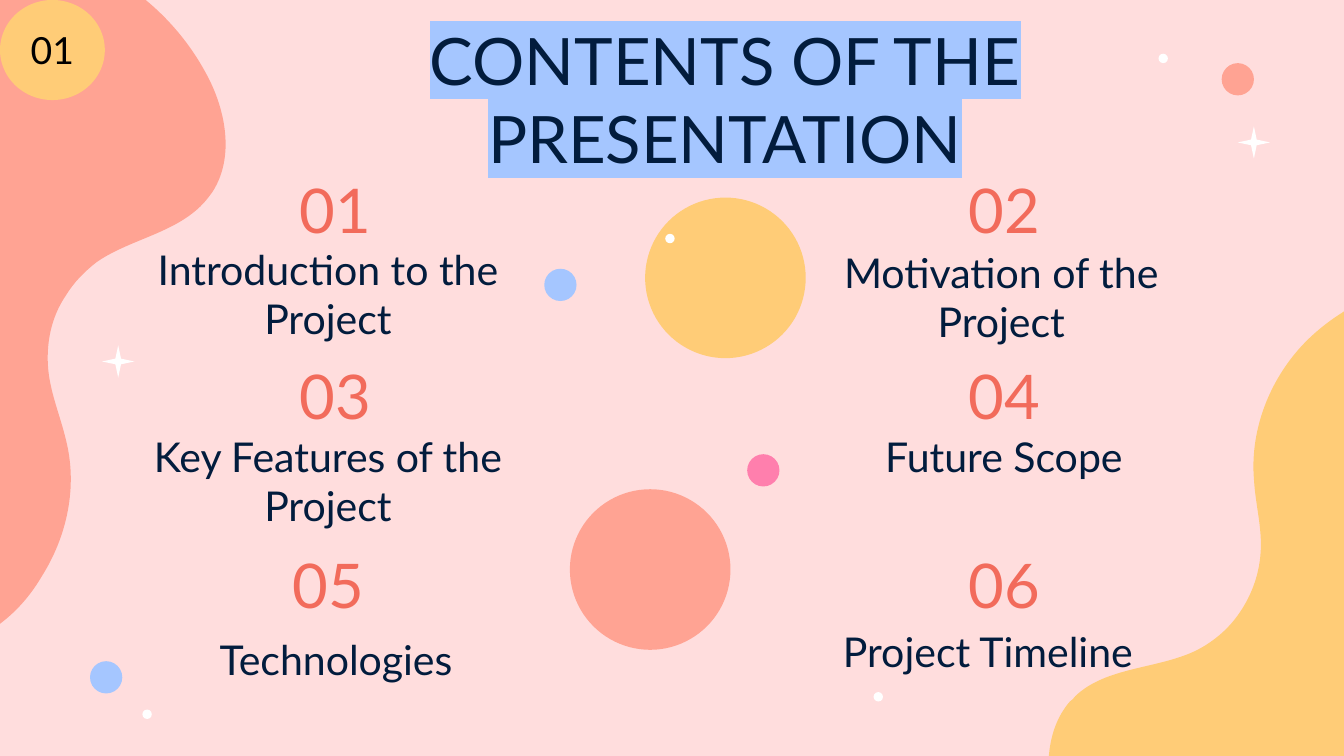
"""Build a contents slide with six numbered topics, bubbles, stars and two blobs."""
import math
from typing import NamedTuple

import lxml.etree
import pptx
import pptx.dml.color
import pptx.enum.shapes
import pptx.enum.text
import pptx.oxml
import pptx.oxml.ns
import pptx.util

RGB = pptx.dml.color.RGBColor
PINK = RGB(0xFF, 0xDD, 0xDD)
SALMON = RGB(0xFF, 0xA3, 0x93)
GOLD = RGB(0xFF, 0xCC, 0x77)
WHITE = RGB(0xFF, 0xFF, 0xFF)
BLACK = RGB(0x00, 0x00, 0x00)
NAVY = RGB(0x02, 0x1C, 0x3D)
CORAL = RGB(0xF2, 0x6B, 0x5B)
BLUE = RGB(0xA5, 0xC6, 0xFF)
ROSE = RGB(0xFF, 0x7F, 0xAD)

COLUMNS, ROWS = 100, 56.25
CELL = pptx.util.Inches(0.1)
SHAPES = pptx.enum.shapes.MSO_SHAPE
INSET = pptx.util.Inches(0.1)
FRAME_FORMAT = {
    "word_wrap": True,
    "auto_size": pptx.enum.text.MSO_AUTO_SIZE.NONE,
    "vertical_anchor": pptx.enum.text.MSO_ANCHOR.MIDDLE,
    "margin_left": INSET,
    "margin_right": INSET,
    "margin_top": INSET,
    "margin_bottom": INSET,
}


class Area(NamedTuple):
    """A rectangle in grid columns and rows."""
    column: float
    row: float
    width: float
    height: float


class Style(NamedTuple):
    """Size and colour of a line of text."""
    size: float
    color: RGB


class Topic(NamedTuple):
    """A numbered topic with the areas of its number and its name."""
    number: str
    number_area: Area
    name: str
    name_area: Area


class Ornament(NamedTuple):
    """A small bubble or star."""
    column: float
    row: float
    size: float
    color: RGB
    kind: SHAPES = SHAPES.OVAL


class Blob(NamedTuple):
    """A rotated outline of cubic curves, in grid points."""
    area: Area
    rotation: float
    color: RGB
    start: tuple
    curves: list


TITLE = Style(35, NAVY)
NUMBER = Style(33, CORAL)
NAME = Style(22, NAVY)
BADGE = Style(20, BLACK)
DOT, BUBBLE, DISC = 0.7, 2.4, 11.95

BLOBS = [
    Blob(Area(-21.3, 7.3, 46.1, 26.3), 302.1, SALMON, (-3.7, 4.4), [
        (-12.3, 18, -10.3, 35.1, -0.1, 46.5), (0.1, 46.4, 0.2, 46.2, 0.4, 46.1),
        (1.5, 45.2, 2.4, 44.1, 3.1, 42.9), (5, 39.9, 5.8, 36.2, 4.9, 32.7),
        (4.5, 31, 3.8, 29.4, 3.6, 27.6), (3.4, 25.6, 3.8, 23.6, 4.9, 22),
        (5.5, 21, 6.3, 20.2, 7.2, 19.5), (9.8, 17.7, 13.5, 17.3, 15.5, 14.7),
        (15.6, 14.6, 15.7, 14.4, 15.8, 14.3), (17.5, 11.7, 16.8, 8.1, 15.3, 5.4),
        (12.8, 0.8, 8.3, -2.7, 3.2, -3.6), (1.8, -2.4, 0.5, -1.1, -0.7, 0.3),
        (-1.8, 1.5, -2.8, 2.9, -3.7, 4.4)]),
    Blob(Area(71.5, 35.3, 46.1, 26.3), 131.1, GOLD, (97.4, 65), [
        (107.9, 53, 108.7, 35.7, 100.4, 22.9), (100.2, 23, 100, 23.2, 99.8, 23.3),
        (98.7, 24, 97.6, 24.9, 96.7, 25.9), (94.3, 28.6, 93, 32.2, 93.3, 35.7),
        (93.4, 37.5, 93.9, 39.2, 93.8, 41), (93.7, 43, 92.9, 44.9, 91.6, 46.4),
        (90.9, 47.2, 90, 47.9, 89, 48.4), (86.1, 49.8, 82.3, 49.6, 80, 51.8),
        (79.9, 52, 79.7, 52.1, 79.6, 52.2), (77.6, 54.5, 77.7, 58.2, 78.7, 61.1),
        (80.5, 66, 84.4, 70.2, 89.3, 71.9), (90.8, 70.9, 92.3, 69.9, 93.7, 68.7),
        (95, 67.6, 96.2, 66.4, 97.4, 65)]),
]
ORNAMENTS = [
    Ornament(10.6, 52.8, DOT, WHITE),
    Ornament(92.1, 9.4, BUBBLE, WHITE, SHAPES.STAR_4_POINT),
    Ornament(7.6, 25.7, BUBBLE, WHITE, SHAPES.STAR_4_POINT),
    Ornament(86.2, 4, DOT, WHITE),
    Ornament(65, 51.5, DOT, WHITE),
    Ornament(6.7, 49.2, BUBBLE, BLUE),
    Ornament(90.9, 4.7, BUBBLE, SALMON),
    Ornament(48, 14.7, DISC, GOLD),
    Ornament(42.4, 36.4, DISC, SALMON),
    Ornament(40.5, 20, BUBBLE, BLUE),
    Ornament(55.6, 33.8, BUBBLE, ROSE),
    Ornament(49.5, 17.4, DOT, WHITE),
]
TOPICS = [
    Topic("01", Area(18, 13.1, 13.9, 4.9), "Introduction to the Project", Area(10, 18.1, 28.8, 7.5)),
    Topic("02", Area(67.8, 13.1, 13.9, 4.9), "Motivation of the Project", Area(59.5, 18.6, 30, 6.9)),
    Topic("03", Area(18, 26.7, 13.9, 5.3), "Key Features of the Project", Area(10, 32, 28.8, 7.5)),
    Topic("04", Area(67.8, 26.7, 13.9, 5.3), "Future Scope", Area(61.1, 31.5, 27.2, 4.9)),
    Topic("05", Area(17.5, 41, 13.9, 4.9), "Technologies", Area(11.4, 46.6, 27.2, 4.9)),
    Topic("06", Area(67.8, 41, 13.9, 4.9), "Project Timeline", Area(59.9, 46, 27.2, 4.9)),
]


def place(area: Area) -> list[int]:
    """Return left, top, width and height of an area as slide lengths."""
    return [round(value * CELL) for value in area]


def paint(shape, color: RGB) -> None:
    """Give a shape a plain fill without line or shadow."""
    shape.shadow.inherit = False
    shape.fill.solid()
    shape.fill.fore_color.rgb = color
    shape.line.fill.background()


def write(shape, text: str, style: Style):
    """Write one centred paragraph and return its span."""
    frame = shape.text_frame
    for name, value in FRAME_FORMAT.items():
        setattr(frame, name, value)
    para = frame.paragraphs[0]
    para.alignment = pptx.enum.text.PP_ALIGN.CENTER
    span = para.add_run()
    span.text = text
    for name, value in {"size": pptx.util.Pt(style.size), "name": "Lato"}.items():
        setattr(span.font, name, value)
    span.font.color.rgb = style.color
    return span


def highlight(span, color: RGB) -> None:
    """Put a colour behind a span."""
    mark = pptx.oxml.parse_xml(
        f'<a:highlight {pptx.oxml.ns.nsdecls("a")}><a:srgbClr val="{color}"/></a:highlight>')
    span.font.fill._xPr.find(pptx.oxml.ns.qn("a:solidFill")).addnext(mark)


def bend(shape, area: Area) -> None:
    """Turn each three straight segments into a cubic curve and fit the frame to the area."""
    name = pptx.oxml.ns.qn
    left, top, width, height = place(area)
    outline = next(shape._element.iter(name("a:path")))
    for point in outline.iter(name("a:pt")):
        point.set("x", str(int(point.get("x")) + shape.left - left))
        point.set("y", str(int(point.get("y")) + shape.top - top))
    lines = outline.findall(name("a:lnTo"))
    for first in range(0, len(lines), 3):
        curve = lxml.etree.Element(name("a:cubicBezTo"))
        lines[first].addprevious(curve)
        for line in lines[first:first + 3]:
            curve.append(line[0])
            outline.remove(line)
    outline.set("w", str(width))
    outline.set("h", str(height))
    shape.left, shape.top, shape.width, shape.height = left, top, width, height


def draw_blob(page, blob: Blob) -> None:
    """Draw a blob as an upright outline turned about its centre."""
    column, row, width, height = blob.area
    middle = complex(column + width / 2, row + height / 2)
    angle = math.radians(-blob.rotation)
    turn = complex(math.cos(angle), math.sin(angle))
    pairs = [blob.start] + [curve[i:i + 2] for curve in blob.curves for i in (0, 2, 4)]
    upright = [middle + (complex(x, y) - middle) * turn for x, y in pairs]
    points = [(round(point.real * CELL), round(point.imag * CELL)) for point in upright]
    builder = page.shapes.build_freeform(*points[0])
    builder.add_line_segments(points[1:], close=True)
    shape = builder.convert_to_shape()
    bend(shape, blob.area)
    shape.rotation = blob.rotation
    paint(shape, blob.color)


def draw_ornament(page, item: Ornament) -> None:
    """Draw a bubble or a star."""
    shape = page.shapes.add_shape(item.kind, *place(Area(item.column, item.row, item.size, item.size)))
    if item.kind == SHAPES.STAR_4_POINT:
        shape.adjustments[0] = 0.125
    paint(shape, item.color)


def main() -> None:
    """Build and save the deck."""
    deck = pptx.Presentation()
    deck.slide_width, deck.slide_height = round(COLUMNS * CELL), round(ROWS * CELL)
    page = deck.slides.add_slide(deck.slide_layouts[5])
    page.background.fill.solid()
    page.background.fill.fore_color.rgb = PINK
    title = page.shapes.title
    title.left, title.top, title.width, title.height = place(Area(15.4, 4.75, 77.1, 5.1))
    highlight(write(title, "CONTENTS OF THE PRESENTATION", TITLE), BLUE)
    for blob in BLOBS:
        draw_blob(page, blob)
    for item in ORNAMENTS:
        draw_ornament(page, item)
    for topic in TOPICS:
        write(page.shapes.add_textbox(*place(topic.name_area)), topic.name, NAME)
        write(page.shapes.add_textbox(*place(topic.number_area)), topic.number, NUMBER)
    badge = page.shapes.add_shape(SHAPES.OVAL, *place(Area(0, 0, 7.8, 7.45)))
    paint(badge, GOLD)
    write(badge, "01", BADGE)
    deck.save("out.pptx")


if __name__ == "__main__":
    main()
